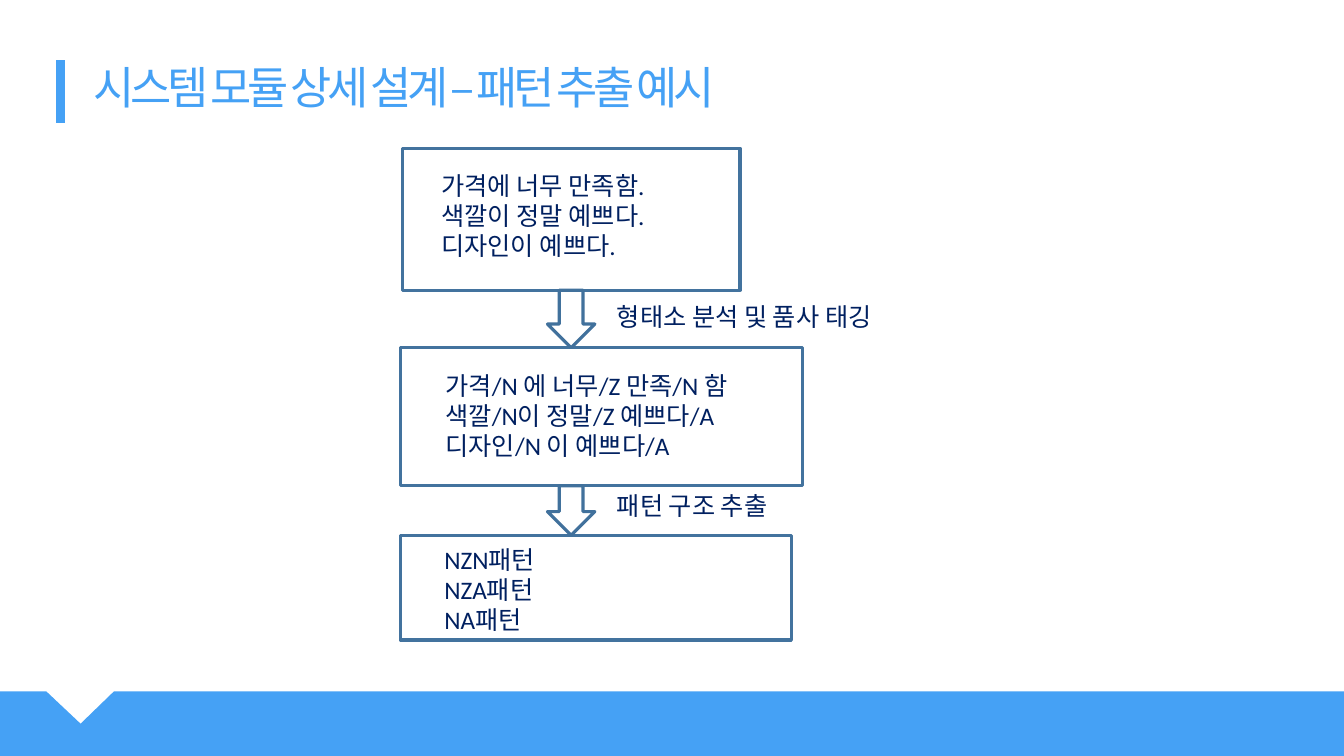
from lxml import etree
from pptx import Presentation, util as u
from pptx.dml.color import RGBColor
from pptx.enum import shapes, text
from pptx.oxml import ns

SKY = RGBColor(0x45, 0xA1, 0xF5)
NAVY = RGBColor(0x00, 0x20, 0x60)
BOX_EDGE = RGBColor(0x43, 0x73, 0x9E)
ARROW_EDGE = RGBColor(0x41, 0x71, 0x9C)
WHITE = RGBColor(0xFF, 0xFF, 0xFF)
LATIN, KOREAN = "Calibri", "Noto Sans CJK KR"

WIDTH, HEIGHT = 13.33, 7.5
HEADING = "시스템 모듈 상세 설계 – 패턴 추출 예시"
STAGES = [
    dict(box=(3.99, 1.47, 3.35, 1.41), words=(4.28, 1.64, 2.83, 0.86),
         lines=["가격에 너무 만족함.", "색깔이 정말 예쁘다.", "디자인이 예쁘다."]),
    dict(box=(3.97, 3.45, 3.99, 1.37), words=(4.32, 3.62, 3.38, 0.98),
         lines=["가격/N 에 너무/Z 만족/N 함", "색깔/N이 정말/Z 예쁘다/A",
                "디자인/N 이 예쁘다/A"]),
    dict(box=(3.97, 5.31, 3.88, 1.04), words=(4.31, 5.35, 3.28, 1.01),
         lines=["NZN패턴", "NZA패턴", "NA패턴"]),
]
STEPS = [("형태소 분석 및 품사 태깅", 0.06), ("패턴 구조 추출", 0)]
ARROW_LEFT, ARROW_WIDTH = 5.43, 0.47
STEP_LEFT, STEP_WIDTH, STEP_HEIGHT = 6.02, 3.38, 0.4
BAND_TOP, NOTCH_TIP = 6.86, 7.18
NOTCH = (0.46, 0.8, 1.13)


def inches(*lengths):
    return [u.Inches(length) for length in lengths]


def write(holder, lines, size=18, color=NAVY, font=LATIN, tracking=None,
          line_spacing=None, anchor=text.MSO_ANCHOR.TOP, inset=0.05):
    frame = holder.text_frame
    frame.word_wrap = True
    frame.auto_size = text.MSO_AUTO_SIZE.NONE
    frame.vertical_anchor = anchor
    frame.margin_left = frame.margin_right = u.Inches(0.1)
    frame.margin_top = frame.margin_bottom = u.Inches(inset)
    for index, line in enumerate(lines):
        paragraph = frame.paragraphs[0] if index == 0 else frame.add_paragraph()
        paragraph.alignment = text.PP_ALIGN.LEFT
        paragraph.line_spacing = line_spacing
        run = paragraph.add_run()
        run.text = line
        run.font.size = u.Pt(size)
        run.font.name = font
        run.font.color.rgb = color
        properties = run.font._element
        etree.SubElement(properties, ns.qn("a:ea")).set("typeface", KOREAN)
        if tracking:
            properties.set("spc", str(tracking * 100))


def outlined(slide, kind, place, edge, fill=None):
    shape = slide.shapes.add_shape(kind, *inches(*place))
    shape.shadow.inherit = False
    if fill is None:
        shape.fill.background()
    else:
        shape.fill.solid()
        shape.fill.fore_color.rgb = fill
    shape.line.color.rgb = edge
    shape.line.width = u.Pt(2.25)


def draw_footer(slide):
    left, middle, right = NOTCH
    outline = [(left, BAND_TOP), (middle, NOTCH_TIP), (right, BAND_TOP),
               (WIDTH, BAND_TOP), (WIDTH, HEIGHT), (0, HEIGHT)]
    builder = slide.shapes.build_freeform(0, u.Inches(BAND_TOP))
    builder.add_line_segments([inches(*point) for point in outline], close=True)
    band = builder.convert_to_shape()
    band.shadow.inherit = False
    band.fill.solid()
    band.fill.fore_color.rgb = SKY
    band.line.fill.background()


def draw_heading(slide):
    bar = slide.shapes.add_connector(
        shapes.MSO_CONNECTOR.STRAIGHT, *inches(0.6, 0.6, 0.6, 1.22))
    bar.line.color.rgb = SKY
    bar.line.width = u.Pt(6)
    etree.SubElement(bar._element.spPr, ns.qn("a:effectLst"))
    title = slide.shapes.title
    title.left, title.top, title.width, title.height = inches(0.83, 0.69, 8.08, 0.43)
    write(title, [HEADING], size=32, color=SKY, font=KOREAN, tracking=-3,
          line_spacing=0.8, anchor=text.MSO_ANCHOR.MIDDLE, inset=0)


def draw_flow(slide):
    for stage in STAGES:
        outlined(slide, shapes.MSO_SHAPE.RECTANGLE, stage["box"], BOX_EDGE)
        write(slide.shapes.add_textbox(*inches(*stage["words"])), stage["lines"])
    for (step, drop), above, below in zip(STEPS, STAGES, STAGES[1:]):
        start = above["box"][1] + above["box"][3]
        gap = below["box"][1] - start
        outlined(slide, shapes.MSO_SHAPE.DOWN_ARROW,
                 (ARROW_LEFT, start, ARROW_WIDTH, gap), ARROW_EDGE, WHITE)
        label = slide.shapes.add_textbox(
            *inches(STEP_LEFT, start + drop, STEP_WIDTH, STEP_HEIGHT))
        write(label, [step])


def main():
    deck = Presentation()
    deck.slide_width, deck.slide_height = inches(WIDTH, HEIGHT)
    slide = deck.slides.add_slide(deck.slide_layouts.get_by_name("Title Only"))
    draw_footer(slide)
    draw_heading(slide)
    draw_flow(slide)
    deck.save("out.pptx")


if __name__ == "__main__":
    main()
